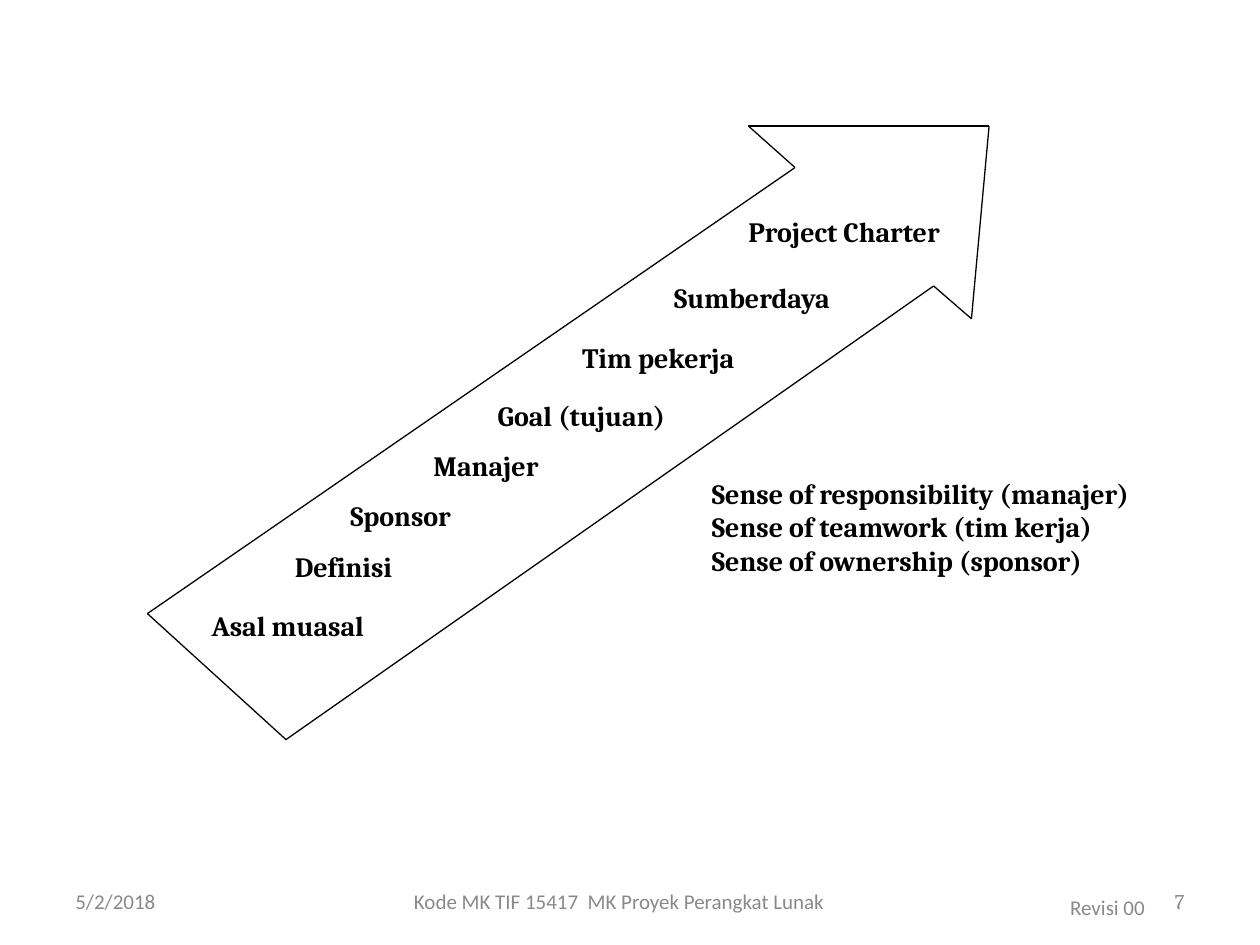
from dataclasses import dataclass
from itertools import pairwise

from lxml import etree
from pptx import Presentation
from pptx import util as u
from pptx.dml.color import RGBColor
from pptx.enum import shapes, text
from pptx.oxml.ns import qn

COLUMNS, ROWS = 100, 75
WIDTH, HEIGHT = u.Inches(10), u.Inches(7.5)
COLORS = {"ink": "000000", "muted": "898989"}


@dataclass(frozen=True)
class Style:
    size: int
    color: str
    bold: bool
    anchor: text.MSO_ANCHOR
    inset_x: float
    inset_y: float


@dataclass(frozen=True)
class Label:
    """A text block placed in grid columns and rows."""
    lines: tuple[str, ...]
    left: float
    top: float
    width: float
    height: float
    style: Style
    font: str = "Cambria"
    align: text.PP_ALIGN = text.PP_ALIGN.LEFT


BODY = Style(16, "ink", True, text.MSO_ANCHOR.TOP, 0.07, 0.03)
FOOTER = Style(12, "muted", False, text.MSO_ANCHOR.MIDDLE, 0.1, 0.05)

STEPS = [
    ("Asal muasal", 16.1, 48.0, 16.2),
    ("Definisi", 22.7, 43.3, 16.2),
    ("Sponsor", 27.1, 39.3, 16.2),
    ("Manajer", 33.7, 35.3, 16.2),
    ("Goal (tujuan)", 38.8, 31.3, 22.8),
    ("Tim pekerja", 45.5, 26.7, 16.2),
    ("Sumberdaya", 52.8, 22.0, 16.2),
    ("Project Charter", 58.7, 16.7, 20.6),
]
SENSES = (
    "Sense of responsibility (manajer)",
    "Sense of teamwork (tim kerja)",
    "Sense of ownership (sponsor)",
)
LABELS = [Label((name,), left, top, width, 3.4, BODY)
          for name, left, top, width in STEPS] + [
    Label(SENSES, 55.8, 37.5, 36.7, 8.7, BODY),
    Label(("5/2/2018",), 5, 69.5, 23.3, 4, FOOTER, "Calibri"),
    Label(("Kode MK TIF 15417  MK Proyek Perangkat Lunak",),
          30.8, 69.5, 36.7, 4, FOOTER, "Calibri", text.PP_ALIGN.CENTER),
    Label(("Revisi 00",), 78.3, 70, 19.2, 4, FOOTER, "Calibri",
          text.PP_ALIGN.CENTER),
    Label(("7",), 71.7, 69.5, 23.3, 4, FOOTER, align=text.PP_ALIGN.RIGHT),
]
ARROW_CORNERS = [
    (74.1, 22.7), (22.7, 58.7), (11.7, 48.7), (63.1, 13.3),
    (59.4, 10), (78.5, 10), (77.1, 25.3),
]


def across(columns: float) -> int:
    return round(WIDTH * columns / COLUMNS)


def down(rows: float) -> int:
    return round(HEIGHT * rows / ROWS)


def set_all(target: object, values: dict) -> None:
    for name, value in values.items():
        setattr(target, name, value)


def draw_label(page, label: Label) -> None:
    style = label.style
    box = page.shapes.add_textbox(across(label.left), down(label.top),
                                  across(label.width), down(label.height))
    frame = box.text_frame
    inset_x, inset_y = u.Inches(style.inset_x), u.Inches(style.inset_y)
    set_all(frame, {
        "word_wrap": True, "vertical_anchor": style.anchor,
        "margin_left": inset_x, "margin_right": inset_x,
        "margin_top": inset_y, "margin_bottom": inset_y,
    })
    for index, line in enumerate(label.lines):
        para = frame.add_paragraph() if index else frame.paragraphs[0]
        para.alignment = label.align
        span = para.add_run()
        span.text = line
        set_all(span.font, {"name": label.font, "size": u.Pt(style.size),
                            "bold": style.bold})
        span.font.color.rgb = RGBColor.from_string(COLORS[style.color])


def draw_edge(page, start: tuple[float, float], end: tuple[float, float]) -> None:
    edge = page.shapes.add_connector(
        shapes.MSO_CONNECTOR.STRAIGHT, across(start[0]), down(start[1]),
        across(end[0]), down(end[1]))
    edge.line.width = u.Pt(0.75)
    edge.line.color.rgb = RGBColor.from_string(COLORS["ink"])
    etree.SubElement(edge._element.spPr, qn("a:effectLst"))


def main() -> None:
    deck = Presentation()
    set_all(deck, {"slide_width": WIDTH, "slide_height": HEIGHT})
    page = deck.slides.add_slide(deck.slide_layouts[6])
    for start, end in pairwise(ARROW_CORNERS + ARROW_CORNERS[:1]):
        draw_edge(page, start, end)
    for label in LABELS:
        draw_label(page, label)
    deck.save("out.pptx")


if __name__ == "__main__":
    main()
